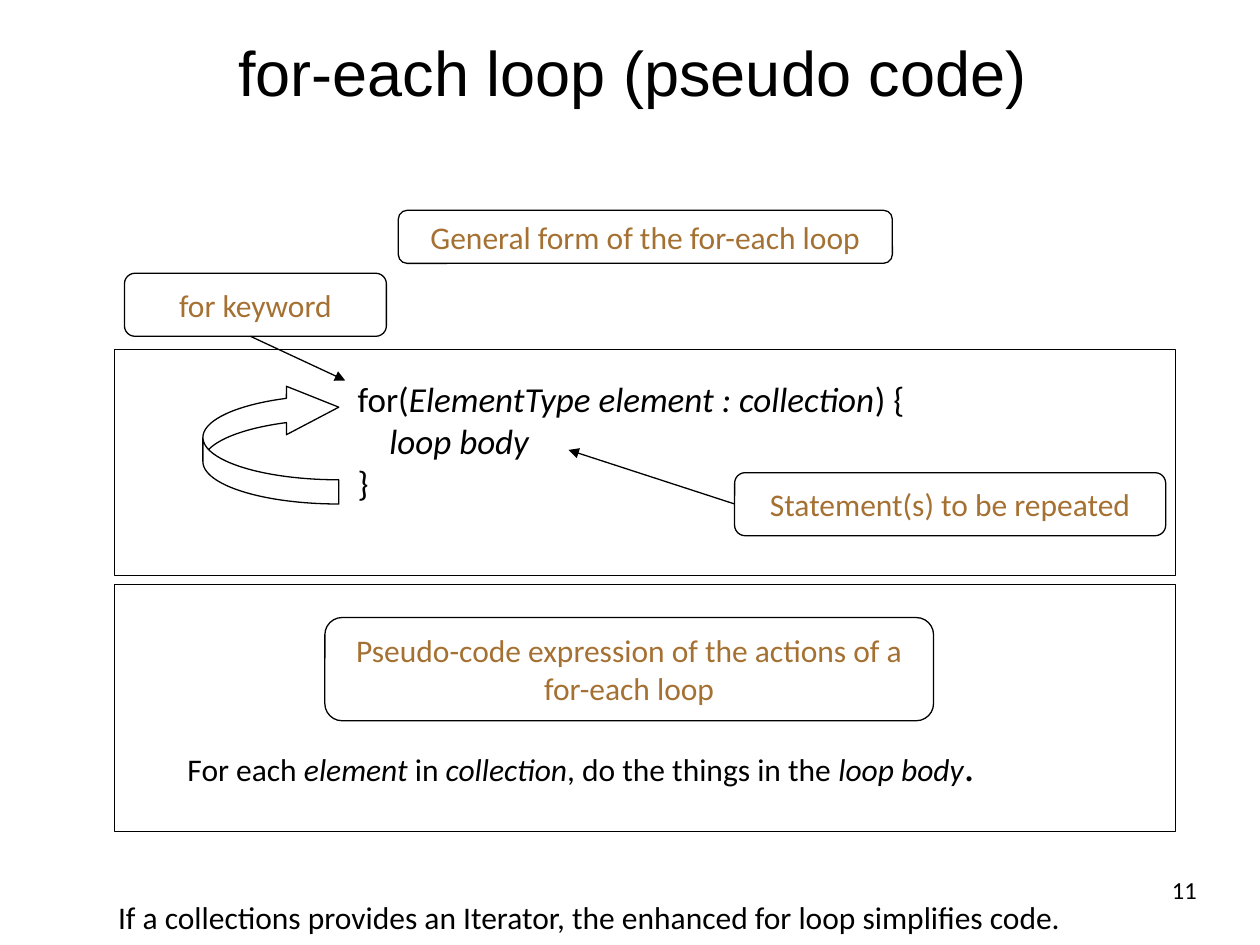
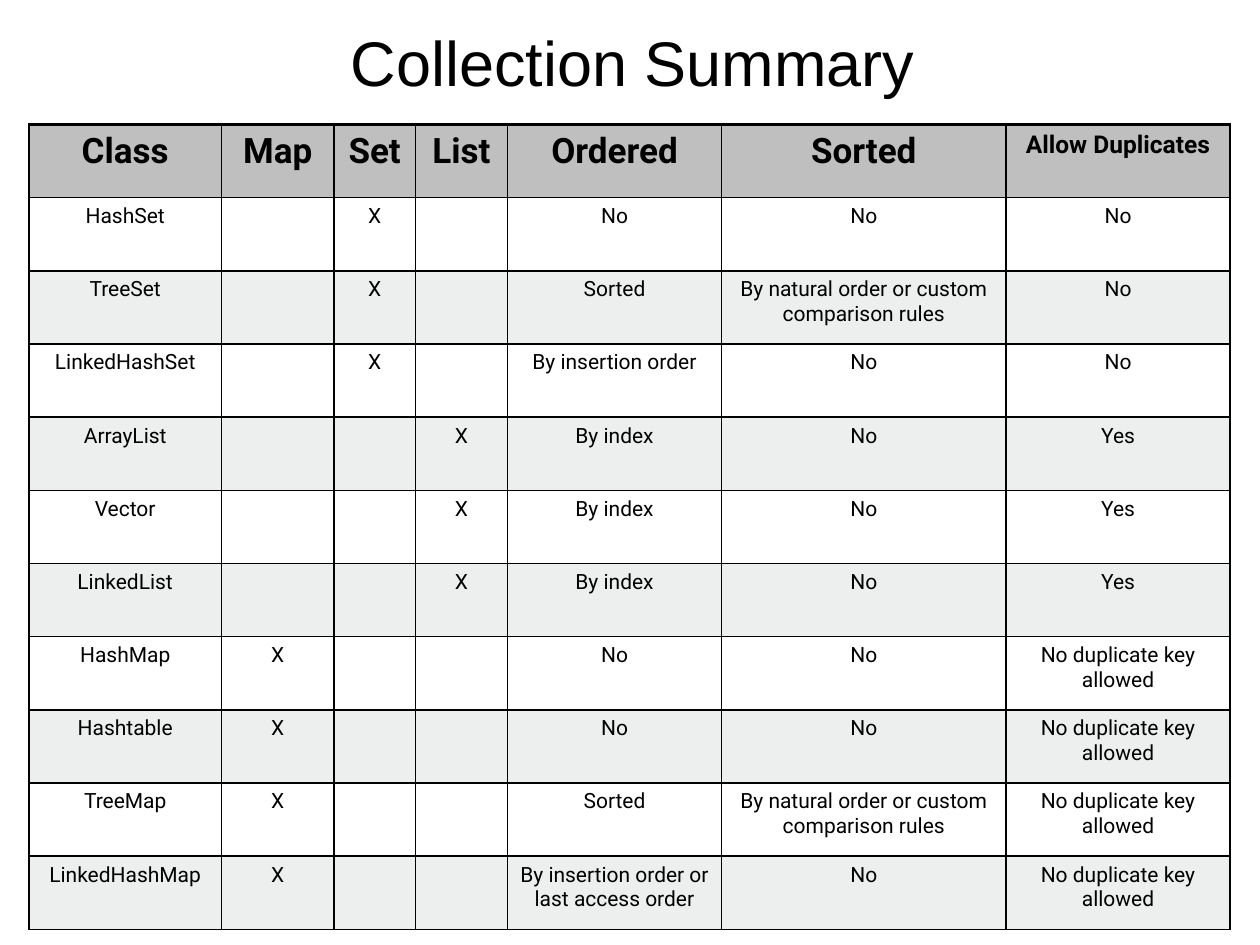
from lxml import etree
from pptx import Presentation
from pptx.dml.color import RGBColor
from pptx.enum.shapes import MSO_CONNECTOR as CONN, MSO_SHAPE as SHAPE
from pptx.enum.text import MSO_ANCHOR as ANCHOR, MSO_AUTO_SIZE as AUTO, PP_ALIGN as ALIGN
from pptx.oxml.ns import qn
from pptx.util import Cm, Pt

BLACK, BROWN, GREY = "000000", "A57133", "C5C7C9"
X_MAP, X_SET, X_LIST = ("X", "", ""), ("", "X", ""), ("", "", "X")
BY_RULES = "By natural order or custom comparison rules"
NO_DUP_KEY = "No duplicate key allowed"

HEADER = ("Class", "Map", "Set", "List", "Ordered", "Sorted", "Allow Duplicates")
COLLECTIONS = [
    ("HashSet", *X_SET, "No", "No", "No"),
    ("TreeSet", *X_SET, "Sorted", BY_RULES, "No"),
    ("LinkedHashSet", *X_SET, "By insertion order", "No", "No"),
    ("ArrayList", *X_LIST, "By index", "No", "Yes"),
    ("Vector", *X_LIST, "By index", "No", "Yes"),
    ("LinkedList", *X_LIST, "By index", "No", "Yes"),
    ("HashMap", *X_MAP, "No", "No", NO_DUP_KEY),
    ("Hashtable", *X_MAP, "No", "No", NO_DUP_KEY),
    ("TreeMap", *X_MAP, "Sorted", BY_RULES, NO_DUP_KEY),
    ("LinkedHashMap", *X_MAP, "By insertion order or last access order", "No", NO_DUP_KEY),
]


def rgb(color):
    return RGBColor.from_string(color)


def cms(*values):
    return [Cm(v) for v in values]


class Deck:
    title_font, body_font, table_font = "Arial", "Calibri", "Roboto"
    line_width = Pt(0.75)

    def __init__(self):
        self.prs = Presentation()
        self.prs.slide_width, self.prs.slide_height = cms(25.4, 19.05)
        self.s = None

    def font(self, r, size, name=body_font, color=BLACK, bold=False, italic=False):
        f = r.font
        f.name, f.size, f.bold, f.italic = name, Pt(size), bold, italic
        f.color.rgb = rgb(color)

    def indent(self, p, left):
        pPr = p._p.get_or_add_pPr()
        pPr.set("marL", str(Cm(left)))
        pPr.set("indent", "0")

    def slide(self, title, top=0):
        self.s = self.prs.slides.add_slide(self.prs.slide_layouts[5])
        sp = self.s.shapes.title
        sp.left, sp.top, sp.width, sp.height = cms(1.27, top, 22.86, 3.02)
        tf = sp.text_frame
        tf.text = title
        tf.auto_size, tf.vertical_anchor = AUTO.NONE, ANCHOR.MIDDLE
        tf.margin_left = tf.margin_right = tf.margin_top = tf.margin_bottom = Cm(0.15)
        p = tf.paragraphs[0]
        p.alignment, p.line_spacing = ALIGN.CENTER, 0.96
        self.indent(p, 0.1)
        self.font(p.runs[0], 36, self.title_font)

    def text(self, box, lines, size):
        tf = self.s.shapes.add_textbox(*cms(*box)).text_frame
        tf.word_wrap = True
        for i, line in enumerate(lines):
            p = tf.add_paragraph() if i else tf.paragraphs[0]
            for words, style in line:
                r = p.add_run()
                r.text = words
                self.font(r, **{"size": size, **style})
        return tf

    def shape(self, kind, box):
        sp = self.s.shapes.add_shape(kind, *cms(*box))
        sp.shadow.inherit = False
        sp.fill.background()
        sp.line.color.rgb = rgb(BLACK)
        sp.line.width = self.line_width
        return sp

    def label(self, box, words):
        tf = self.shape(SHAPE.ROUNDED_RECTANGLE, box).text_frame
        tf.text = words
        tf.word_wrap, tf.vertical_anchor = True, ANCHOR.MIDDLE
        p = tf.paragraphs[0]
        p.alignment = ALIGN.CENTER
        self.font(p.runs[0], 18, color=BROWN)

    def arrow(self, start, end):
        c = self.s.shapes.add_connector(CONN.STRAIGHT, *cms(*start, *end))
        c.line.color.rgb = rgb(BLACK)
        c.line.width = self.line_width
        spPr = c._element.spPr
        etree.SubElement(spPr.find(qn("a:ln")), qn("a:tailEnd"), type="triangle")
        etree.SubElement(spPr, qn("a:effectLst"))

    def borders(self, cell, top):
        tcPr = cell._tc.get_or_add_tcPr()
        for side, width in (("L", 1), ("R", 1), ("T", top), ("B", 1)):
            ln = etree.SubElement(tcPr, qn("a:ln" + side), w=str(Pt(width)))
            fill = etree.SubElement(ln, qn("a:solidFill"))
            etree.SubElement(fill, qn("a:srgbClr"), val=BLACK)

    def tint(self, cell, color, percent):
        cell.fill.solid()
        cell.fill.fore_color.rgb = rgb(color)
        clr = cell._tc.tcPr.find(qn("a:solidFill")).find(qn("a:srgbClr"))
        etree.SubElement(clr, qn("a:alpha"), val=str(percent * 1000))

    def cell(self, cell, words, row):
        self.borders(cell, 1 if row else 2.25)
        if row == 0:
            self.tint(cell, BLACK, 25)
        elif row % 2 == 0:
            self.tint(cell, GREY, 30)
        else:
            cell.fill.background()
        cell.text_frame.text = words
        p = cell.text_frame.paragraphs[0]
        p.alignment = ALIGN.CENTER
        size = 12 if row else 14 if words == HEADER[-1] else 20
        for r in p.runs:
            self.font(r, size, self.table_font, bold=row == 0)

    def table(self, left, top, widths, height, rows):
        tbl = self.s.shapes.add_table(
            len(rows), len(widths), *cms(left, top, sum(widths), height)).table
        tbl.first_row = tbl.horz_banding = False
        for col, width in zip(tbl.columns, widths):
            col.width = Cm(width)
        for i, values in enumerate(rows):
            tbl.rows[i].height = Cm(height / len(rows))
            for j, words in enumerate(values):
                self.cell(tbl.cell(i, j), words, i)


def loop_slide(d):
    plain, italic = {}, {"italic": True}
    d.slide("for-each loop (pseudo code)")
    tf = d.text((6.96, 7.49, 13.77, 2.82), [
        [("for(", plain), ("ElementType element : collection", italic), (") {", plain)],
        [("loop body", italic)],
        [("}", plain)],
    ], 20)
    d.indent(tf.paragraphs[1], 0.64)
    d.text((3.53, 14.78, 16.59, 1.27), [[
        ("For each ", plain), ("element", italic), (" in ", plain),
        ("collection", italic), (", do the things in the ", plain),
        ("loop body", italic), (".", {"size": 24}),
    ]], 18)

    d.label((2.51, 5.51, 5.28, 1.27), "for keyword")
    d.arrow((5.05, 6.78), (6.96, 7.67))
    d.label((14.81, 9.53, 8.69, 1.27), "Statement(s) to be repeated")
    d.arrow((14.81, 10.16), (11.46, 9.07))
    d.label((6.55, 12.45, 12.27, 2.08),
            "Pseudo-code expression of the actions of a for-each loop")
    d.label((8.03, 4.24, 9.96, 1.07), "General form of the for-each loop")

    for top, height in ((7.04, 4.57), (11.79, 4.98)):
        d.shape(SHAPE.RECTANGLE, (2.31, top, 21.39, height))
    loop = d.shape(SHAPE.CURVED_LEFT_ARROW, (4.09, 7.72, 2.74, 2.44))
    loop.rotation = 180
    for i, value in enumerate((0.2, 0.4, 0.433)):
        loop.adjustments[i] = round(value, 3)

    tf = d.text((23.62, 17.63, 0.51, 0.61), [[("11", plain)]], 14)
    tf.margin_left = tf.margin_right = tf.margin_top = tf.margin_bottom = 0
    tf.word_wrap = False
    tf.paragraphs[0].alignment = ALIGN.CENTER
    note = "If a collections provides an Iterator, the enhanced for loop simplifies code."
    p = d.text((2.03, 18.06, 22.25, 0.94), [[(note, plain)]], 18).paragraphs[0]
    p.line_spacing = 0.9
    d.indent(p, 0.1)


def summary_slide(d):
    d.slide("Collection Summary", -0.2)
    d.table(0.58, 2.51, (3.89, 2.26, 1.65, 1.85, 4.32, 5.73, 4.52), 16.23,
            [HEADER, *COLLECTIONS])


def main():
    d = Deck()
    loop_slide(d)
    summary_slide(d)
    d.prs.save("out.pptx")


if __name__ == "__main__":
    main()
